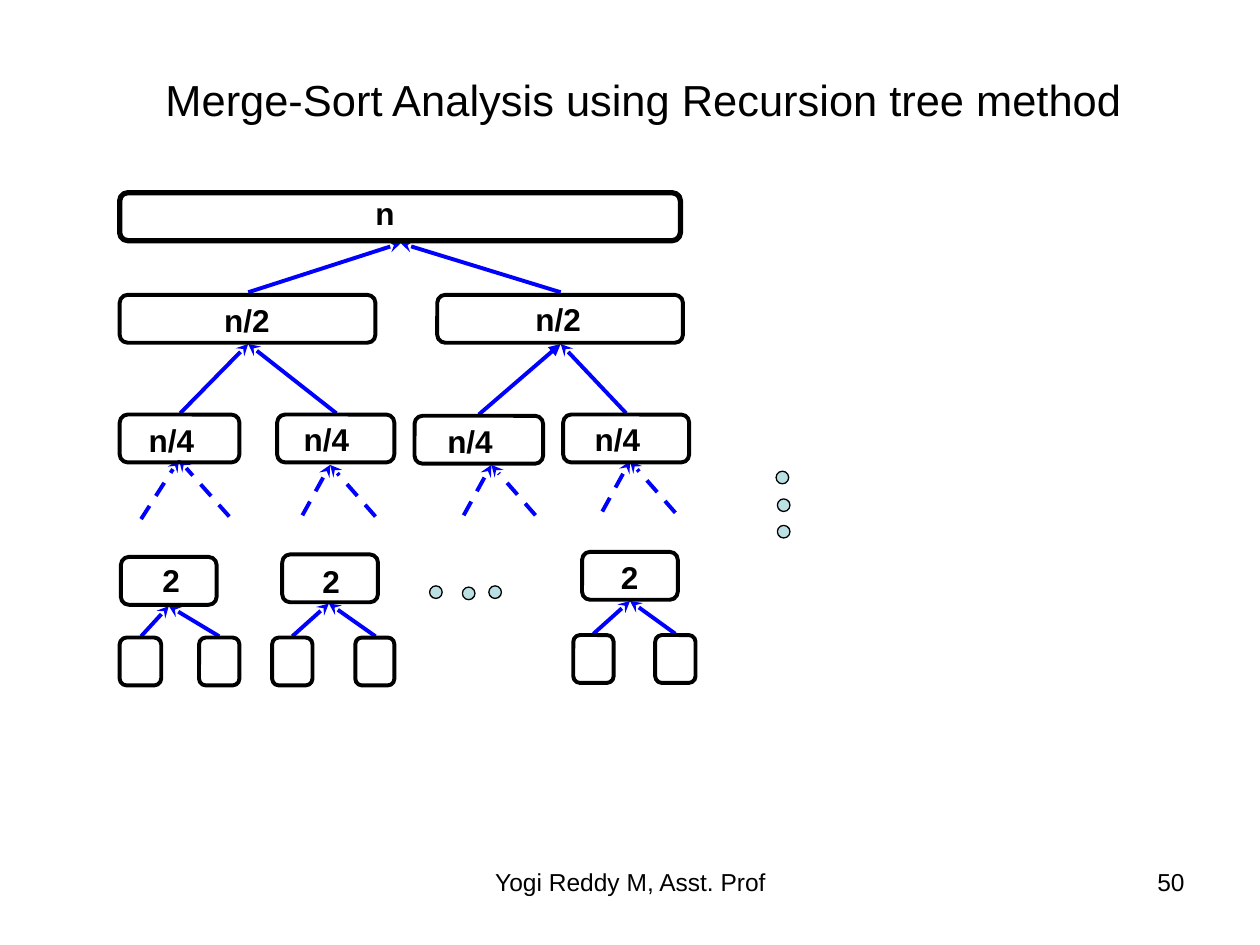
from lxml import etree
from pptx import Presentation
from pptx.dml.color import RGBColor
from pptx.enum.dml import MSO_LINE
from pptx.enum.shapes import MSO_CONNECTOR, MSO_SHAPE
from pptx.enum.text import MSO_ANCHOR, PP_ALIGN
from pptx.oxml.ns import qn
from pptx.util import Inches, Pt

BLACK = RGBColor(0x00, 0x00, 0x00)
BLUE = RGBColor(0x00, 0x00, 0xFF)
PALE_TEAL = RGBColor(0xBB, 0xE0, 0xE3)
ROUNDED = MSO_SHAPE.ROUNDED_RECTANGLE
OVAL = MSO_SHAPE.OVAL
STRAIGHT = MSO_CONNECTOR.STRAIGHT
DASH = MSO_LINE.DASH
LEFT, CENTER, RIGHT = PP_ALIGN.LEFT, PP_ALIGN.CENTER, PP_ALIGN.RIGHT
TOP, MIDDLE = MSO_ANCHOR.TOP, MSO_ANCHOR.MIDDLE
NODE_HEIGHT = 0.38
DOT_SIZE = 0.1


def write_text(box, text, size=18, bold=False, align=LEFT, anchor=TOP,
               margins=(0.1, 0.05), wrap=True):
    frame = box.text_frame
    frame.word_wrap = wrap
    frame.vertical_anchor = anchor
    frame.margin_left = frame.margin_right = Inches(margins[0])
    frame.margin_top = frame.margin_bottom = Inches(margins[1])
    para = frame.paragraphs[0]
    para.alignment = align
    span = para.add_run()
    span.text = text
    span.font.name = "Arial"
    span.font.size = Pt(size)
    span.font.bold = bold
    span.font.color.rgb = BLACK


def add_outlined(page, kind, left, top, width, height, weight):
    shape = page.shapes.add_shape(kind, Inches(left), Inches(top), Inches(width), Inches(height))
    shape.shadow.inherit = False
    shape.fill.background()
    shape.line.color.rgb = BLACK
    shape.line.width = Pt(weight)
    return shape


deck = Presentation()
deck.slide_width, deck.slide_height = Inches(10), Inches(7.5)
page = deck.slides.add_slide(deck.slide_layouts[5])

title = page.shapes.title
title.left, title.top, title.width, title.height = Inches(0.91), Inches(0.37), Inches(8.4), Inches(0.83)
write_text(title, "Merge-Sort Analysis using Recursion tree method", size=24.8,
           align=CENTER, anchor=MIDDLE)

# each branch: parent tip, child ends, dashed, arrowhead kinds
branches = [
    ((3.18, 1.93), [(1.97, 2.32), (4.45, 2.32)], False),
    ((1.97, 2.73), [(1.43, 3.28), (2.67, 3.28)], False),
    ((4.45, 2.73), [(3.8, 3.29), (4.97, 3.28)], False),
    ((1.42, 3.65), [(1.12, 4.12), (1.82, 4.1)], True),
    ((2.62, 3.69), [(2.4, 4.09), (2.98, 4.1)], True),
    ((3.9, 3.69), [(3.68, 4.09), (4.25, 4.09)], True),
    ((5, 3.66), [(4.78, 4.06), (5.36, 4.07)], True),
    ((1.34, 4.81), [(1.12, 5.05), (1.74, 5.05)], False),
    ((2.61, 4.79), [(2.32, 5.05), (2.98, 5.05)], False),
    ((5, 4.77), [(4.71, 5.03), (5.36, 5.03)], False),
]
for (tip_x, tip_y), children, dashed in branches:
    for x, y in children:
        arrow = page.shapes.add_connector(STRAIGHT, Inches(x), Inches(y), Inches(tip_x), Inches(tip_y))
        arrow.line.color.rgb = BLUE
        arrow.line.width = Pt(2.25)
        if dashed:
            arrow.line.dash_style = DASH
        head = "triangle" if (x, y) == (3.8, 3.29) else "stealth"
        etree.SubElement(arrow.line._get_or_add_ln(), qn("a:tailEnd"), type=head)
        etree.SubElement(arrow._element.spPr, qn("a:effectLst"))

nodes = [
    (0.95, 1.53, 4.45, 3),
    (0.95, 2.34, 2.03, 2.25), (3.47, 2.34, 1.95, 2.25),
    (0.95, 3.29, 0.95, 2.25), (2.2, 3.29, 0.93, 2.25),
    (3.29, 3.3, 1.02, 2.25), (4.47, 3.29, 1, 2.25),
    (0.96, 4.42, 0.76, 2.25), (2.24, 4.4, 0.76, 2.25), (4.62, 4.38, 0.76, 2.25),
    (0.95, 5.06, 0.33, 2.25), (1.58, 5.06, 0.32, 2.25),
    (2.16, 5.06, 0.32, 2.25), (2.82, 5.06, 0.31, 2.25),
    (4.55, 5.04, 0.32, 2.25), (5.2, 5.04, 0.32, 2.25),
]
for left, top, width, weight in nodes:
    add_outlined(page, ROUNDED, left, top, width, NODE_HEIGHT, weight)

dots = [(6.16, 3.74), (6.17, 3.96), (6.17, 4.17), (3.41, 4.65), (3.67, 4.66), (3.88, 4.65)]
for left, top in dots:
    dot = add_outlined(page, OVAL, left, top, DOT_SIZE, DOT_SIZE, 0.75)
    dot.fill.solid()
    dot.fill.fore_color.rgb = PALE_TEAL

node_format = {"bold": True, "margins": (0, 0)}
leaf_format = {"bold": True, "wrap": False}
labels = [
    ("n", 2.98, 1.54, 0.35, 0.3, node_format),
    ("n/2", 1.78, 2.39, 0.56, 0.3, node_format),
    ("n/2", 4.25, 2.38, 0.56, 0.3, node_format),
    ("n/4", 1.18, 3.34, 0.56, 0.3, node_format),
    ("n/4", 2.41, 3.33, 0.56, 0.3, node_format),
    ("n/4", 3.55, 3.35, 0.56, 0.3, node_format),
    ("n/4", 4.72, 3.33, 0.56, 0.3, node_format),
    ("2", 1.19, 4.4, 0.34, 0.4, leaf_format),
    ("2", 2.46, 4.41, 0.34, 0.4, leaf_format),
    ("2", 4.83, 4.38, 0.34, 0.4, leaf_format),
    ("Yogi Reddy M, Asst. Prof", 3.42, 6.83, 3.17, 0.52, {"size": 14, "align": CENTER}),
    ("50", 7.17, 6.83, 2.33, 0.52, {"size": 14, "align": RIGHT}),
]
for text, left, top, width, height, text_format in labels:
    box = page.shapes.add_textbox(Inches(left), Inches(top), Inches(width), Inches(height))
    write_text(box, text, **text_format)

deck.save("out.pptx")
